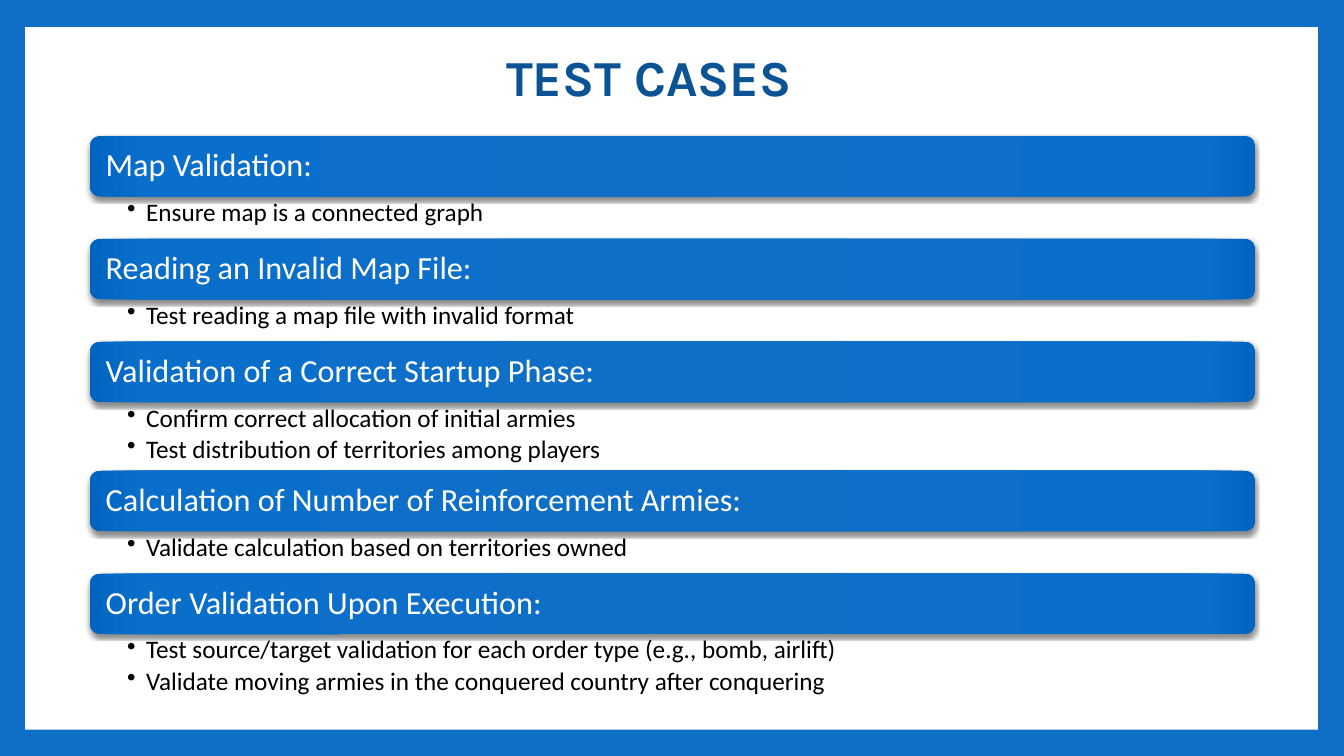
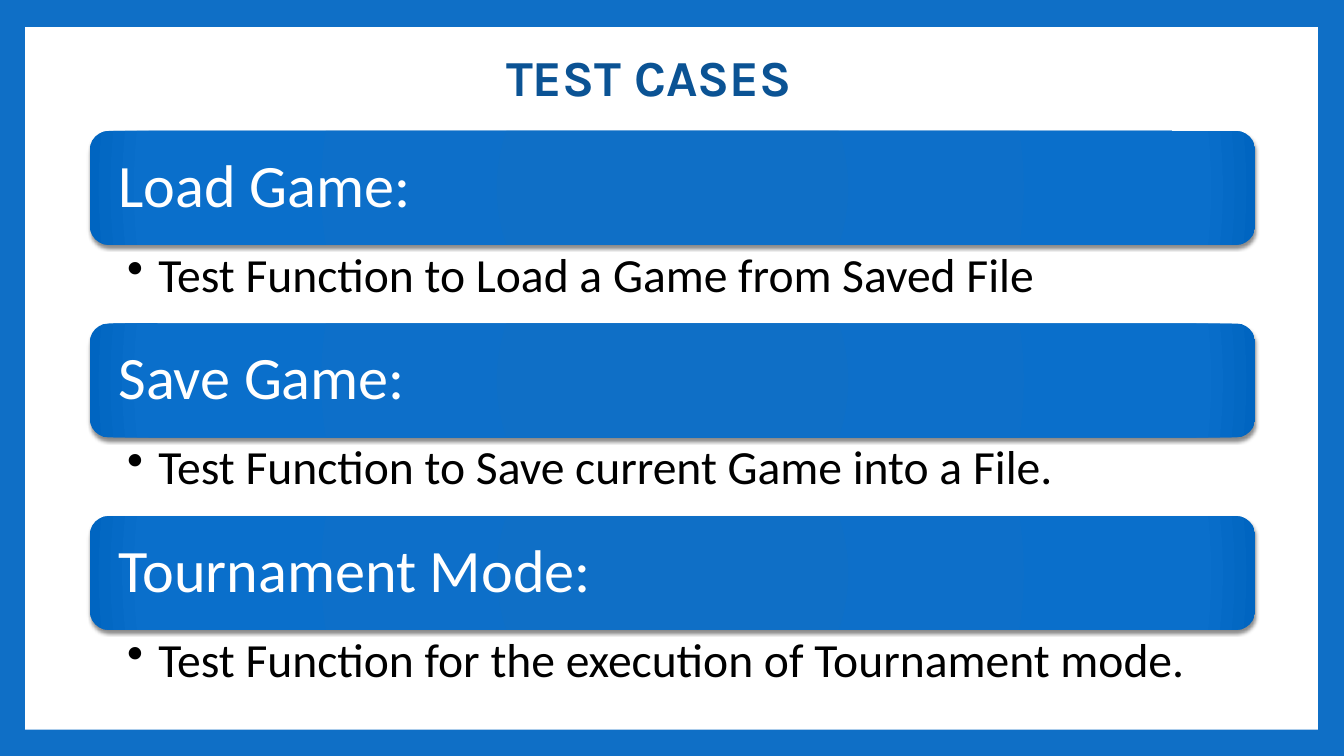
from dataclasses import dataclass

from lxml import etree
from pptx import Presentation
from pptx.dml.color import RGBColor
from pptx.enum import shapes, text
from pptx.oxml import parse_xml
from pptx.oxml.ns import nsdecls, qn
from pptx.util import Inches, Pt


@dataclass(frozen=True)
class Theme:
    frame: str = "0F6FC6"
    panel: str = "FFFFFF"
    title: str = "0B5394"
    heading: str = "FFFFFF"
    body: str = "000000"
    gradient: tuple = ((0, "0F6FC6"), (90, "0A6FCB"), (100, "0065C1"))
    title_font: str = "Karla"
    body_font: str = "Calibri"
    title_size: int = 36


THEME = Theme()
LEFT, WIDTH = 0.89, 11.56

SLIDES = [
    {
        "top": 1.35, "bar": 0.6, "heading_size": 23, "heading_inset": 0.13,
        "list_size": 18, "list_inset": 0.03, "hanging": 0.19,
        "list_heights": {1: 0.42, 2: 0.68},
        "sections": [
            ("Map Validation:", ["Ensure map is a connected graph"]),
            ("Reading an Invalid Map File:", ["Test reading a map file with invalid format"]),
            ("Validation of a Correct Startup Phase:", [
                "Confirm correct allocation of initial armies",
                "Test distribution of territories among players",
            ]),
            ("Calculation of Number of Reinforcement Armies:", [
                "Validate calculation based on territories owned",
            ]),
            ("Order Validation Upon Execution:", [
                "Test source/target validation for each order type (e.g., bomb, airlift)",
                "Validate moving armies in the conquered country after conquering",
            ]),
        ],
    },
    {
        "top": 1.3, "bar": 1.13, "heading_size": 43, "heading_inset": 0.23,
        "list_size": 34, "list_inset": 0.06, "hanging": 0.31,
        "list_heights": {1: 0.78},
        "sections": [
            ("Load Game:", ["Test Function to Load a Game from Saved File"]),
            ("Save Game:", ["Test Function to Save current Game into a File."]),
            ("Tournament Mode:", ["Test Function for the execution of Tournament mode."]),
        ],
    },
]


def write(shape, lines, *, size, color, font=THEME.body_font, bold=False,
          anchor=text.MSO_ANCHOR.TOP, inset=(0.1, 0.05), spacing=0.9, hanging=None):
    """Fill a shape with one paragraph per line; a hanging indent adds bullets."""
    frame = shape.text_frame
    frame.word_wrap = True
    frame.auto_size = text.MSO_AUTO_SIZE.NONE
    frame.vertical_anchor = anchor
    frame.margin_left = frame.margin_right = Inches(inset[0])
    frame.margin_top = frame.margin_bottom = Inches(inset[1])
    for index, line in enumerate(lines):
        paragraph = frame.add_paragraph() if index else frame.paragraphs[0]
        paragraph.alignment = text.PP_ALIGN.LEFT
        paragraph.line_spacing = spacing
        run = paragraph.add_run()
        run.text = line
        run.font.name, run.font.size, run.font.bold = font, Pt(size), bold
        run.font.color.rgb = RGBColor.from_string(color)
        if hanging:
            paragraph.space_after = Pt(3)
            properties = paragraph._p.get_or_add_pPr()
            properties.set("marL", str(Inches(hanging)))
            properties.set("indent", str(-Inches(hanging)))
            etree.SubElement(properties, qn("a:buChar")).set("char", "•")


def style_bar(bar):
    """Give a heading bar its radial gradient and soft shadow."""
    stops = "".join(
        f'<a:gs pos="{position * 1000}"><a:srgbClr val="{color}"/></a:gs>'
        for position, color in THEME.gradient
    )
    bar.line.fill.background()
    properties = bar.element.spPr
    properties.find(qn("a:ln")).addprevious(parse_xml(
        f'<a:gradFill {nsdecls("a")} rotWithShape="1"><a:gsLst>{stops}</a:gsLst>'
        '<a:path path="circle"><a:fillToRect l="100000" t="100000" r="100000" b="100000"/>'
        '</a:path></a:gradFill>'
    ))
    properties.append(parse_xml(
        f'<a:effectLst {nsdecls("a")}><a:outerShdw blurRad="{Pt(3)}" dist="{Pt(2)}" '
        'dir="5400000" rotWithShape="0"><a:srgbClr val="000000"><a:alpha val="45000"/>'
        '</a:srgbClr></a:outerShdw></a:effectLst>'
    ))


presentation = Presentation()
presentation.slide_width, presentation.slide_height = Inches(13.33), Inches(7.5)

layout = presentation.slide_layouts.get_by_name("Title Only")
layout.background.fill.solid()
layout.background.fill.fore_color.rgb = RGBColor.from_string(THEME.frame)
layout_title = layout.placeholders[0]
layout_title.left, layout_title.top = Inches(4.92), Inches(0.33)
layout_title.width, layout_title.height = Inches(3.19), Inches(0.78)

for number, content in enumerate(SLIDES):
    slide = presentation.slides.add_slide(layout)
    if number == 0:
        # The layout has no add_shape, so the shared panel is moved into it.
        panel = slide.shapes.add_shape(
            shapes.MSO_SHAPE.RECTANGLE, Inches(0.25), Inches(0.27), Inches(12.82), Inches(6.97))
        panel.shadow.inherit = False
        panel.fill.solid()
        panel.fill.fore_color.rgb = RGBColor.from_string(THEME.panel)
        panel.line.fill.background()
        panel.element.nvSpPr.cNvPr.set("id", "20")
        layout_title.element.addprevious(panel.element)

    write(slide.shapes.title, ["TEST CASES"], size=THEME.title_size, color=THEME.title,
          font=THEME.title_font, bold=True, anchor=text.MSO_ANCHOR.BOTTOM, spacing=1.0)

    top = content["top"]
    for heading, items in content["sections"]:
        bar = slide.shapes.add_shape(
            shapes.MSO_SHAPE.ROUNDED_RECTANGLE,
            Inches(LEFT), Inches(top), Inches(WIDTH), Inches(content["bar"]))
        style_bar(bar)
        write(bar, [heading], size=content["heading_size"], color=THEME.heading,
              anchor=text.MSO_ANCHOR.MIDDLE, inset=(content["heading_inset"], 0.05))
        top += content["bar"]

        list_height = content["list_heights"][len(items)]
        item_list = slide.shapes.add_textbox(
            Inches(LEFT), Inches(top), Inches(WIDTH), Inches(list_height))
        write(item_list, items, size=content["list_size"], color=THEME.body,
              inset=(0.37, content["list_inset"]), hanging=content["hanging"])
        top += list_height

presentation.save("out.pptx")
